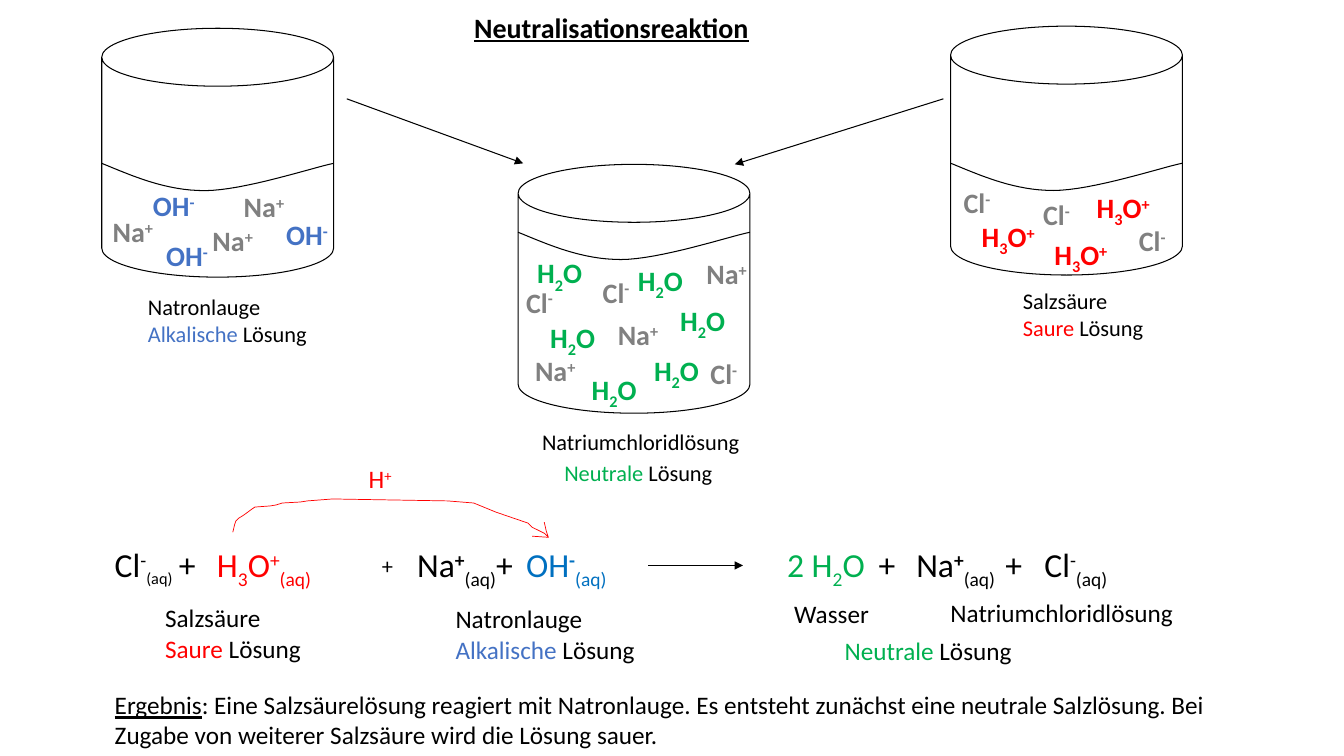
from lxml.etree import SubElement
from pptx import Presentation
from pptx.dml.color import RGBColor
from pptx.enum.shapes import MSO_CONNECTOR as CONN, MSO_SHAPE as SHAPE
from pptx.enum.text import MSO_ANCHOR as ANCHOR, MSO_AUTO_SIZE as AUTO, PP_ALIGN as ALIGN
from pptx.oxml.ns import qn
from pptx.util import Pt

BLACK, WHITE, GREY = "000000", "FFFFFF", "808080"
RED, GREEN, BLUE, AZURE = "FF0000", "00B050", "4472C4", "0070C0"
CAN_W, CAN_H = 165.6, 177.8

IONS = {
    "Na": ("Na^+^", GREY, 47.5),
    "Cl": ("Cl^-^", GREY, 35.3),
    "OH": ("OH^-^", BLUE, 47.5),
    "H3O": ("H_3_O^+^", RED, 58.3),
    "H2O": ("H_2_O", GREEN, 58.3),
}
LYE_IONS = {
    "Na": [(0.7, 129.6), (72, 136.1), (94.3, 111.6)],
    "OH": [(124.6, 131.8), (38.9, 146.9), (29.5, 110.9)],
}
ACID_IONS = {
    "H3O": [(15.1, 134.6), (97.2, 113.8), (67, 147.6)],
    "Cl": [(127.4, 137.5), (2.2, 110.2), (59, 118.8)],
}
SALT_IONS = {
    "H2O": [(15.8, 108), (90, 131.8), (108.7, 95.8),
            (45.4, 145.4), (6.5, 61.9), (78.5, 67)],
    "Na": [(5, 131.8), (64.1, 105.8), (127.4, 62.6)],
    "Cl": [(-1.4, 82.8), (130.3, 133.9), (53.3, 75.6)],
}
TRANSFER_PATH = [
    (0, 23.8), (1.4, 18), (2.2, 15.8), (4.3, 13.7), (7.9, 11.5), (13.7, 7.2),
    (15.8, 5.8), (26.6, 5), (31, 4.3), (35.3, 2.9), (48.2, 2.2), (53.3, 1.4),
    (71.3, 0), (153.4, 1.4), (172.1, 2.9), (187.9, 9.4), (211, 17.3),
    (213.8, 20.2), (222.5, 24.5), (225.4, 27.4), (223.9, 23), (222.5, 16.6),
]
ACID = [[("Salzsäure", BLACK)], [("Saure", RED), (" Lösung", BLACK)]]
LYE = [[("Natronlauge", BLACK)], [("Alkalische", BLUE), (" Lösung", BLACK)]]
SALT = [[("Natriumchloridlösung", BLACK)]]
NEUTRAL = [[("Neutrale", GREEN), (" Lösung", BLACK)]]
BOLD = {"bold": True}


def rgb(colour):
    return RGBColor.from_string(colour)


def add_runs(p, parts, size, bold=False):
    for text, colour, *extra in parts:
        style = {"size": size, "bold": bold, **(extra[0] if extra else {})}
        for i, chunk in enumerate(text.split("_")):
            for j, piece in enumerate(chunk.split("^")):
                if not piece:
                    continue
                r = p.add_run()
                r.text = piece
                r.font.name = "Calibri"
                r.font.size = Pt(style["size"])
                r.font.bold = style["bold"]
                r.font.underline = style.get("underline", False)
                r.font.color.rgb = rgb(colour)
                shift = -25000 if i % 2 else 30000 if j % 2 else 0
                if shift:
                    r.font._element.set("baseline", str(shift))


def add_text(s, x, y, w, h, lines, size, bold=False, wrap=True, tabs=()):
    tf = s.shapes.add_textbox(Pt(x), Pt(y), Pt(w), Pt(h)).text_frame
    tf.word_wrap = wrap
    tf.auto_size = AUTO.SHAPE_TO_FIT_TEXT
    for i, parts in enumerate(lines):
        p = tf.add_paragraph() if i else tf.paragraphs[0]
        add_runs(p, parts, size, bold)
        if tabs:
            stops = SubElement(p._p.get_or_add_pPr(), qn("a:tabLst"))
            for pos in tabs:
                SubElement(stops, qn("a:tab"), pos=str(Pt(pos)), algn="l")


def add_line(s, x1, y1, x2, y2, colour=BLACK, width=0.75, arrow=True):
    c = s.shapes.add_connector(CONN.STRAIGHT, Pt(x1), Pt(y1), Pt(x2), Pt(y2))
    c.line.color.rgb = rgb(colour)
    c.line.width = Pt(width)
    if arrow:
        SubElement(c.line._get_or_add_ln(), qn("a:tailEnd"), type="triangle")
    SubElement(c._element.spPr, qn("a:effectLst"))


def add_outline(s, x, y, points, colour, width):
    emu = [(Pt(x + px), Pt(y + py)) for px, py in points]
    fb = s.shapes.build_freeform(*emu[0])
    fb.add_line_segments(emu[1:], close=False)
    sp = fb.convert_to_shape()
    sp.fill.background()
    sp.line.color.rgb = rgb(colour)
    sp.line.width = Pt(width)
    sp.shadow.inherit = False


def bezier(a, b, c, d, steps=16):
    for k in range(steps + 1):
        t = k / steps
        yield tuple((1 - t) ** 3 * p + 3 * t * (1 - t) ** 2 * q
                    + 3 * t * t * (1 - t) * u + t ** 3 * v
                    for p, q, u, v in zip(a, b, c, d))


def add_title(s, x, y, w, h):
    sp = s.shapes.title
    sp.left, sp.top, sp.width, sp.height = Pt(x), Pt(y), Pt(w), Pt(h)
    tf = sp.text_frame
    tf.word_wrap = True
    tf.auto_size = AUTO.SHAPE_TO_FIT_TEXT
    tf.vertical_anchor = ANCHOR.TOP
    tf.paragraphs[0].alignment = ALIGN.CENTER
    add_runs(tf.paragraphs[0],
             [("Neutralisationsreaktion", BLACK, {"underline": True})], 20, True)


def add_beaker(s, x, y, level, ions):
    sp = s.shapes.add_shape(SHAPE.CAN, Pt(x), Pt(y), Pt(CAN_W), Pt(CAN_H))
    sp.fill.solid()
    sp.fill.fore_color.rgb = rgb(WHITE)
    sp.line.color.rgb = rgb(BLACK)
    sp.line.width = Pt(0.75)
    sp.shadow.inherit = False
    low = (73.5, 19.5)
    surface = [*bezier((0, 0), (23, 9.5), (46, 19.5), low),
               *bezier(low, (101, 19.5), (151, 3), (CAN_W, 0))]
    add_outline(s, x, y + level, surface, BLACK, 0.75)
    for ion, places in ions.items():
        text, colour, w = IONS[ion]
        for dx, dy in places:
            add_text(s, x + dx, y + dy, w, 31.5, [[(text, colour)]], 20, True)


def add_experiment(s, x, y):
    add_line(s, x + 175, y + 50.4, x + 301, y + 96.5)
    add_line(s, x + 601.2, y + 50.4, x + 452.2, y + 97.2)
    add_beaker(s, x, y, 96.5, LYE_IONS)
    add_beaker(s, x + 606.3, y - 1.5, 97.9, ACID_IONS)
    add_beaker(s, x + 297.4, y + 97.2, 48.5, SALT_IONS)
    add_text(s, x + 25.9, y + 185.7, 148.3, 46, LYE, 16)
    add_text(s, x + 650.9, y + 181.4, 136.8, 46, ACID, 16)
    add_text(s, x + 307.4, y + 282.2, 157, 26.7, SALT, 16, wrap=False)
    add_text(s, x + 323.3, y + 304.5, 140.4, 26.7, NEUTRAL, 16)


def add_proton_transfer(s, x, y):
    add_text(s, x + 90, y - 28.8, 42.5, 29, [[("H^+^", RED)]], 18)
    add_outline(s, x, y, TRANSFER_PATH, RED, 0.5)
    add_line(s, x + 225.4, y + 27.4, x + 213.8, y + 26.6, RED, 0.5, False)


def add_equation(s, x, y):
    acid = [("Cl^-^", BLACK), ("_(aq)_", BLACK, {"size": 20}),
            ("\t+\t", BLACK), ("H_3_O^+^_(aq)_", RED)]
    lye = [("Na", BLACK), ("^+^", BLACK, BOLD), ("_(aq)_+\t", BLACK),
           ("OH", AZURE), ("^-^", AZURE, BOLD), ("_(aq)_", AZURE)]
    products = [("2 H_2_O", GREEN), ("\t+\tNa", BLACK), ("^+^", BLACK, BOLD),
                ("_(aq)_\t+\tCl^-^_(aq)_", BLACK)]
    add_text(s, x, y, 198.7, 36, [acid], 24, tabs=(45.8, 73))
    add_text(s, x + 190.8, y + 5.8, 20.9, 26.7, [[("+", BLACK)]], 16)
    add_text(s, x + 216, y, 161.3, 36, [lye], 24, wrap=False, tabs=(77.8,))
    add_line(s, x + 388.1, y + 18.7, x + 455.8, y + 18.7, width=0.5)
    add_text(s, x + 480.2, y, 298.8, 36, [products], 24,
             tabs=(65.4, 92.3, 155.9, 183.8))
    add_text(s, x + 36, y + 41.8, 136.8, 51, ACID, 18)
    add_text(s, x + 243.4, y + 42.5, 148.3, 51, LYE, 18)
    add_text(s, x + 485.3, y + 38.9, 71.3, 29, [[("Wasser", BLACK)]], 18)
    add_text(s, x + 596.9, y + 38.2, 175, 29, SALT, 18, wrap=False)
    add_text(s, x + 521.3, y + 64.8, 140.4, 29, NEUTRAL, 18)


def add_result(s, x, y, w, h):
    parts = [("Ergebnis", BLACK, {"underline": True}),
             (": Eine Salzsäurelösung reagiert mit Natronlauge. Es entsteht "
              "zunächst eine neutrale Salzlösung. Bei Zugabe von weiterer "
              "Salzsäure wird die Lösung sauer.", BLACK)]
    add_text(s, x, y, w, h, [parts], 18)


def main():
    prs = Presentation()
    prs.slide_width, prs.slide_height = Pt(960), Pt(540)
    s = prs.slides.add_slide(prs.slide_layouts[5])
    add_title(s, 247, 3.6, 379.4, 31.5)
    add_experiment(s, 72.7, 20.2)
    add_proton_transfer(s, 166.3, 356.4)
    add_equation(s, 74.9, 385.2)
    add_result(s, 74.9, 488.9, 842.4, 51)
    prs.save("out.pptx")


if __name__ == "__main__":
    main()
